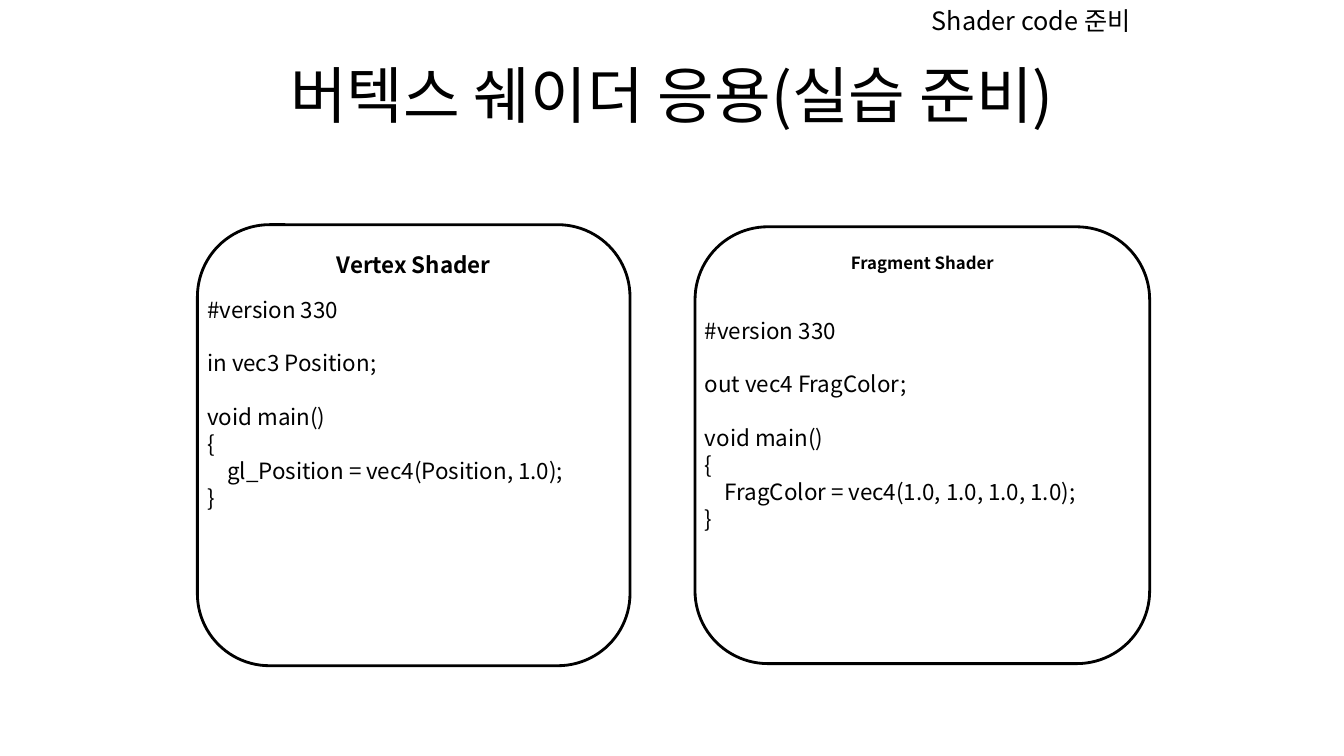
"""Build the vertex shader practice slide with two shader code panels."""
from pptx import Presentation
from pptx.dml.color import RGBColor
from pptx.enum.shapes import MSO_SHAPE
from pptx.enum.text import MSO_ANCHOR, MSO_AUTO_SIZE, PP_ALIGN
from pptx.oxml.ns import qn
from pptx.util import Pt
from lxml.etree import SubElement

PX = 9525
THEME = {
    "font": "Noto Sans CJK KR",
    "ink": RGBColor(0, 0, 0),
    "paper": RGBColor(255, 255, 255),
    "title": Pt(44),
    "topic": Pt(18),
    "code": Pt(16),
    "blank_line": Pt(19.2),
    "outline": Pt(2),
}


def style_paragraph(paragraph, size, alignment=PP_ALIGN.LEFT, bold=False):
    paragraph.alignment = alignment
    for run in paragraph.runs:
        run.font.name = THEME["font"]
        run.font.size = size
        run.font.bold = bold
        run.font.color.rgb = THEME["ink"]
        SubElement(run.font._element, qn("a:ea"), typeface=THEME["font"])


def add_text(slide, box, lines, size, alignment=PP_ALIGN.LEFT):
    shape = slide.shapes.add_textbox(*(value * PX for value in box))
    text_frame = shape.text_frame
    text_frame.word_wrap = True
    paragraph = text_frame.paragraphs[0]
    after_gap = False
    for index, line in enumerate(lines):
        if not line:
            after_gap = True
            continue
        if index:
            paragraph = text_frame.add_paragraph()
        paragraph.text = line
        if after_gap:
            paragraph.space_before = THEME["blank_line"]
        after_gap = False
        style_paragraph(paragraph, size, alignment)
    return text_frame


presentation = Presentation()
presentation.slide_width = 1280 * PX
presentation.slide_height = 720 * PX
slide = presentation.slides.add_slide(presentation.slide_layouts[6])
slide.background.fill.solid()
slide.background.fill.fore_color.rgb = THEME["paper"]

title = add_text(slide, (64, 29, 1152, 120), ["버텍스 쉐이더 응용(실습 준비)"],
                 THEME["title"], PP_ALIGN.CENTER)
title.vertical_anchor = MSO_ANCHOR.MIDDLE

panels = [
    ("Fragment Shader", Pt(12), (662, 216, 433, 416), (662, 297, 433, 217),
     "out vec4 FragColor;", "FragColor = vec4(1.0, 1.0, 1.0, 1.0);"),
    ("Vertex Shader", Pt(16), (188, 214, 412, 420), (188, 277, 412, 223),
     "in vec3 Position;", "gl_Position = vec4(Position, 1.0);"),
]
for name, name_size, panel_box, code_box, declaration, statement in panels:
    panel = slide.shapes.add_shape(MSO_SHAPE.ROUNDED_RECTANGLE,
                                   *(value * PX for value in panel_box))
    panel.shadow.inherit = False
    panel.fill.solid()
    panel.fill.fore_color.rgb = THEME["paper"]
    panel.line.color.rgb = THEME["ink"]
    panel.line.width = THEME["outline"]
    panel.text_frame.text = name
    panel.text_frame.vertical_anchor = MSO_ANCHOR.TOP
    style_paragraph(panel.text_frame.paragraphs[0], name_size, PP_ALIGN.CENTER, True)

    code = ["#version 330", "", declaration, "", "void main()", "{",
            f"    {statement}", "}"]
    code_frame = add_text(slide, code_box, code, THEME["code"])
    code_frame.auto_size = MSO_AUTO_SIZE.SHAPE_TO_FIT_TEXT

topic = add_text(slide, (878, 0, 242, 38), ["Shader code 준비"], THEME["topic"])
topic.auto_size = MSO_AUTO_SIZE.SHAPE_TO_FIT_TEXT

presentation.save("out.pptx")
